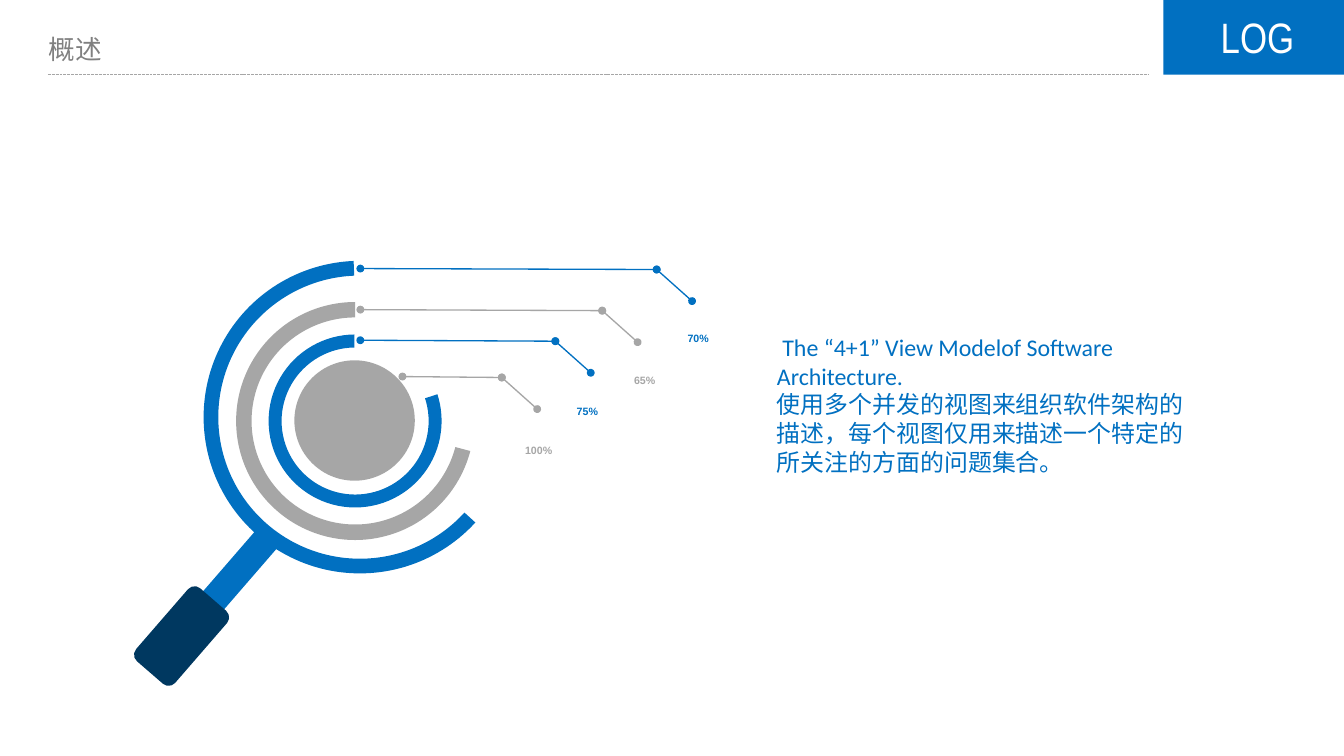
from lxml.etree import SubElement
from pptx import Presentation
from pptx.dml.color import RGBColor
from pptx.enum.dml import MSO_LINE
from pptx.enum.shapes import MSO_CONNECTOR, MSO_SHAPE
from pptx.enum.text import MSO_ANCHOR, MSO_AUTO_SIZE, PP_ALIGN
from pptx.oxml.ns import qn
from pptx.util import Inches, Pt

COLORS = {"blue": "0170C1", "gray": "A6A6A6", "navy": "003860",
          "title": "808080", "white": "FFFFFF"}
CJK_FONT = "Noto Sans CJK SC"


def color(name):
    """Return the named palette colour."""
    return RGBColor.from_string(COLORS[name])


def add_solid(page, kind, box, fill, rotation=0):
    """Add a plain filled shape without outline or shadow."""
    shape = page.shapes.add_shape(kind, *map(Inches, box))
    shape.shadow.inherit = False
    shape.fill.solid()
    shape.fill.fore_color.rgb = color(fill)
    shape.line.fill.background()
    shape.rotation = rotation
    return shape


def add_line(page, start, end, stroke, width, dots=False):
    """Add a straight line, with round dots at both ends if asked."""
    line = page.shapes.add_connector(
        MSO_CONNECTOR.STRAIGHT, *map(Inches, (*start, *end)))
    line.line.color.rgb = color(stroke)
    line.line.width = Pt(width)
    properties = line._element.spPr
    if dots:
        outline = properties.find(qn("a:ln"))
        for tag in ("a:headEnd", "a:tailEnd"):
            SubElement(outline, qn(tag), type="oval")
    SubElement(properties, qn("a:effectLst"))
    return line


def add_text(page, box, texts, font, size, ink, bold=False, wrap=True,
             margins=(0.1, 0.05)):
    """Add a text box with one run per paragraph and return its frame."""
    frame = page.shapes.add_textbox(*map(Inches, box)).text_frame
    frame.word_wrap = wrap
    frame.margin_left = frame.margin_right = Inches(margins[0])
    frame.margin_top = frame.margin_bottom = Inches(margins[1])
    for index, text in enumerate(texts):
        para = frame.paragraphs[0] if index == 0 else frame.add_paragraph()
        span = para.add_run()
        span.text = text
        span.font.name = font
        span.font.size = Pt(size)
        span.font.bold = bold
        span.font.color.rgb = color(ink)
        SubElement(span.font._element, qn("a:ea"), typeface=CJK_FONT)
    return frame


def add_header(page, left, top, width, height):
    """Place the title, dashed rule and corner badge."""
    rule = add_line(page, (left + 0.5, top + height),
                    (left + width - 2.05, top + height), "gray", 0.75)
    rule.line.dash_style = MSO_LINE.SQUARE_DOT
    badge_left = left + width - 1.89
    add_solid(page, MSO_SHAPE.RECTANGLE, (badge_left, top, 1.89, height), "blue")
    labels = (
        ((left + 0.4, top + 0.29, 3.35, 0.41), "概述", CJK_FONT, 20, "title"),
        ((badge_left + 0.49, top + 0.07, 1.02, 0.58), "LOG", "Arial Narrow", 32, "white"),
    )
    for box, text, font, size, ink in labels:
        frame = add_text(page, box, [text], font, size, ink, margins=(0.11, 0.05))
        frame.paragraphs[0].space_before = Pt(size * 0.2)
        frame.paragraphs[0].space_after = Pt(6)


def add_magnifier(page, left, top):
    """Draw the magnifier with its ring gauges, open at the upper right."""
    add_solid(page, MSO_SHAPE.RECTANGLE,
              (left + 0.89, top + 2.69, 0.29, 1.26), "blue", 40.9)
    add_solid(page, MSO_SHAPE.ROUNDED_RECTANGLE,
              (left + 0.23, top + 3.42, 0.54, 1.01), "navy", 40.9)
    tilt = 45
    rings = (
        (0.73, 0, 3.27, "blue", 42.4, 267.7, 0.047),
        (1.07, 0.43, 2.49, "gray", 14.6, 270, 0.065),
        (1.41, 0.77, 1.81, "blue", 342, 269.5, 0.075),
    )
    for x, y, size, fill, start, end, thickness in rings:
        ring = add_solid(page, MSO_SHAPE.BLOCK_ARC,
                         (left + x, top + y, size, size), fill, tilt)
        ring.adjustments[0] = (start - tilt) % 360 * 0.6
        ring.adjustments[1] = (end - tilt) % 360 * 0.6
        ring.adjustments[2] = thickness
    add_solid(page, MSO_SHAPE.OVAL, (left + 1.68, top + 1.04, 1.26, 1.26), "gray")


def add_callouts(page, left, top):
    """Draw the dotted leader lines and their percentages."""
    callouts = (
        ("70%", "blue", 0, 3.1, 0, 3.42, 0.61),
        ("65%", "gray", 0, 2.53, 0.43, 2.86, 1.04),
        ("75%", "blue", 0, 2.04, 0.75, 2.26, 1.37),
        ("100%", "gray", 0.44, 1.48, 1.13, 1.72, 1.78),
    )
    for text, ink, start, bend, y, label_x, label_y in callouts:
        corner = (left + bend, top + y)
        add_line(page, (corner[0] + 0.37, corner[1] + 0.33), corner, ink, 1, True)
        add_line(page, corner, (left + start, top + y - 0.01), ink, 1, True)
        box = (left + label_x, top + label_y, 0.29 if len(text) > 3 else 0.23, 0.18)
        frame = add_text(page, box, [text], "Arial", 8, ink, True, False, (0, 0))
        frame.auto_size = MSO_AUTO_SIZE.SHAPE_TO_FIT_TEXT
        frame.vertical_anchor = MSO_ANCHOR.BOTTOM
        para = frame.paragraphs[0]
        para.alignment = PP_ALIGN.CENTER
        para.line_spacing = 1.5
        para.space_before = Pt(1.6)


def add_summary(page, left, top, width, height):
    """Place the summary of the view model."""
    add_text(page, (left, top, width, height), [
        " The “4+1” View Modelof Software Architecture.",
        "使用多个并发的视图来组织软件架构的描述，每个视图仅用来描述一个特定的所关注的方面的问题集合。",
    ], "Calibri", 18, "blue")


def main():
    """Build and save the overview slide."""
    deck = Presentation()
    deck.slide_width, deck.slide_height = Inches(14.06), Inches(7.91)
    page = deck.slides.add_slide(deck.slide_layouts[6])
    add_header(page, 0, 0, 14.06, 0.78)
    add_magnifier(page, 1.4, 2.73)
    add_callouts(page, 3.77, 2.82)
    add_summary(page, 8.03, 3.43, 4.63, 1.61)
    deck.save("out.pptx")


if __name__ == "__main__":
    main()
